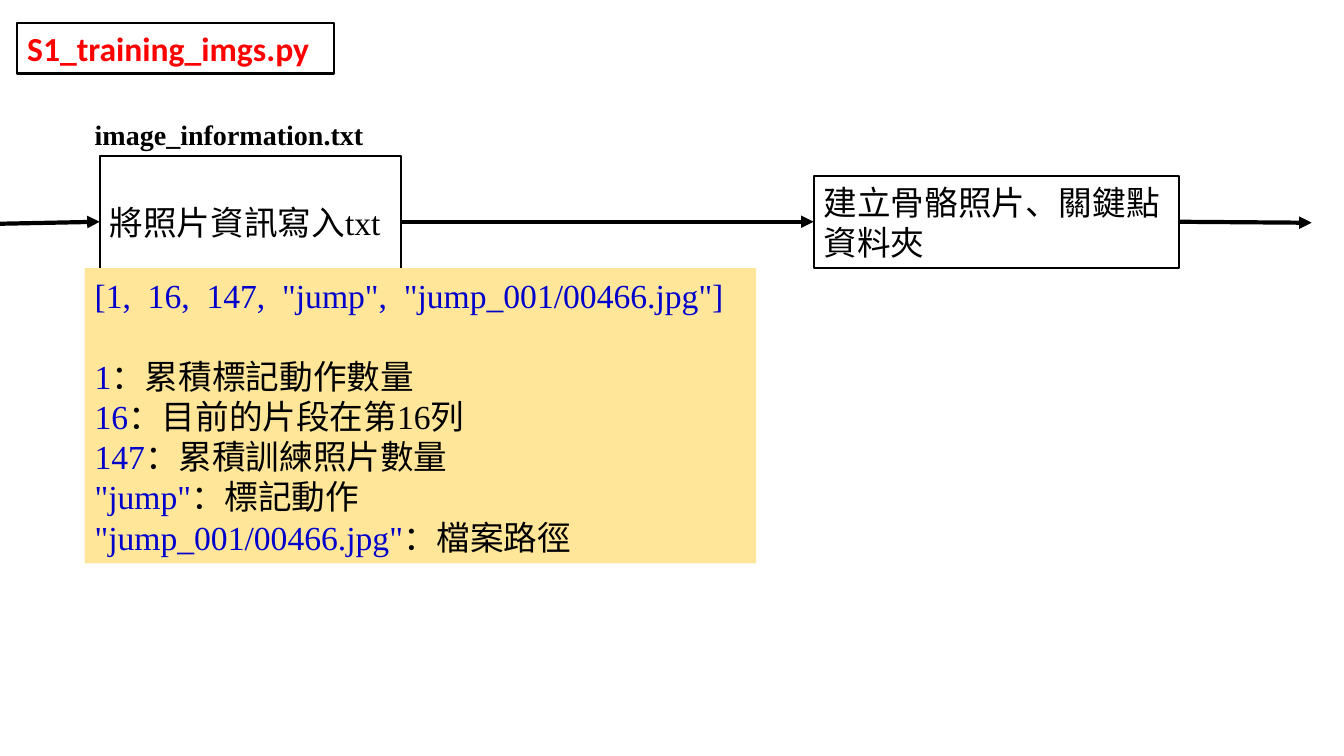
from dataclasses import dataclass

from pptx import Presentation
from pptx.dml.color import RGBColor
from pptx.enum.shapes import MSO_CONNECTOR, MSO_SHAPE
from pptx.enum.text import MSO_ANCHOR, PP_ALIGN
from pptx.oxml.ns import qn
from pptx.util import Inches, Pt
from lxml.etree import SubElement

SERIF = "Times New Roman"
BLACK, RED, BLUE, YELLOW = "000000", "FF0000", "0000CC", "FFE699"
FLOW_Y = 2.2


@dataclass
class Box:
    left: float
    top: float
    width: float
    height: float
    lines: list[str]
    fill: str = ""
    border: str = ""
    size: int = 24
    bold: bool = False


@dataclass
class Arrow:
    x1: float
    y1: float
    x2: float
    y2: float


def rgb(value: str) -> RGBColor:
    return RGBColor.from_string(value)


def style(font, color: str, size: int = 24, name: str = SERIF, bold: bool = False) -> None:
    font.name, font.size, font.bold = name, Pt(size), bold
    font.color.rgb = rgb(color)


def outline(sp, color: str) -> None:
    sp.line.color.rgb = rgb(color)
    sp.line.width = Pt(1.5)


def add_box(s, box: Box):
    sp = s.shapes.add_shape(MSO_SHAPE.RECTANGLE, Inches(box.left), Inches(box.top),
                            Inches(box.width), Inches(box.height))
    sp.shadow.inherit = False
    if box.fill:
        sp.fill.solid()
        sp.fill.fore_color.rgb = rgb(box.fill)
    else:
        sp.fill.background()
    if box.border:
        outline(sp, box.border)
    else:
        sp.line.fill.background()
    tf = sp.text_frame
    tf.word_wrap = True
    tf.vertical_anchor = MSO_ANCHOR.MIDDLE
    tf.text = "\n".join(box.lines)
    for p in tf.paragraphs:
        p.alignment = PP_ALIGN.LEFT
        for r in p.runs:
            style(r.font, BLACK, box.size, bold=box.bold)
    return sp


def add_arrow(s, arrow: Arrow) -> None:
    cx = s.shapes.add_connector(MSO_CONNECTOR.STRAIGHT, Inches(arrow.x1), Inches(arrow.y1),
                                Inches(arrow.x2), Inches(arrow.y2))
    cx.line.color.rgb = rgb(BLACK)
    cx.line.width = Pt(3)
    SubElement(cx.line._get_or_add_ln(), qn("a:tailEnd"), type="triangle")
    SubElement(cx._element.spPr, qn("a:effectLst"))


def add_title(s, text: str) -> None:
    sp = s.shapes.title
    sp.left, sp.top, sp.width, sp.height = (Inches(v) for v in (0.17, 0.23, 3.14, 0.5))
    outline(sp, BLACK)
    tf = sp.text_frame
    tf.text = text
    tf.word_wrap = True
    tf.vertical_anchor = MSO_ANCHOR.MIDDLE
    p = tf.paragraphs[0]
    p.alignment = PP_ALIGN.LEFT
    style(p.runs[0].font, RED, name="Calibri", bold=True)


def add_legend(s, box: Box, fields: list[tuple[str, str]]) -> None:
    """Example record, then one line per field: blue value, black meaning."""
    tf = add_box(s, box).text_frame
    style(tf.paragraphs[0].runs[0].font, BLUE)
    for i, (value, meaning) in enumerate(fields):
        p = tf.add_paragraph()
        p.alignment = PP_ALIGN.LEFT
        if i == 0:
            p.space_before = Pt(29)
        for text, color in ((value, BLUE), (f"：{meaning}", BLACK)):
            r = p.add_run()
            r.text = text
            style(r.font, color)


BOXES = [
    Box(0.99, 1.55, 2.99, 1.31, ["將照片資訊寫入txt"], border=BLACK),
    Box(0.84, 1.11, 2.99, 0.44, ["image_information.txt"], size=20, bold=True),
    Box(8.07, 1.75, 3.62, 0.91, ["建立骨骼照片、關鍵點", "資料夾"], border=BLACK),
]
ARROWS = [
    Arrow(0, 2.22, 0.99, FLOW_Y),
    Arrow(3.98, FLOW_Y, 8.07, FLOW_Y),
    Arrow(11.69, FLOW_Y, 13.01, 2.21),
]
RECORD = Box(0.84, 2.66, 6.66, 2.93,
             ['[1,  16,  147,  "jump",  "jump_001/00466.jpg"]'], fill=YELLOW)
FIELDS = [
    ("1", "累積標記動作數量"),
    ("16", "目前的片段在第16列"),
    ("147", "累積訓練照片數量"),
    ('"jump"', "標記動作"),
    ('"jump_001/00466.jpg"', "檔案路徑"),
]


def main() -> None:
    prs = Presentation()
    prs.slide_width, prs.slide_height = Inches(13.33), Inches(7.5)
    s = prs.slides.add_slide(prs.slide_layouts[5])

    # Script name
    add_title(s, "S1_training_imgs.py")

    # Flow steps and arrows
    for box in BOXES:
        add_box(s, box)
    for arrow in ARROWS:
        add_arrow(s, arrow)

    # Record format
    add_legend(s, RECORD, FIELDS)

    prs.save("out.pptx")


if __name__ == "__main__":
    main()
